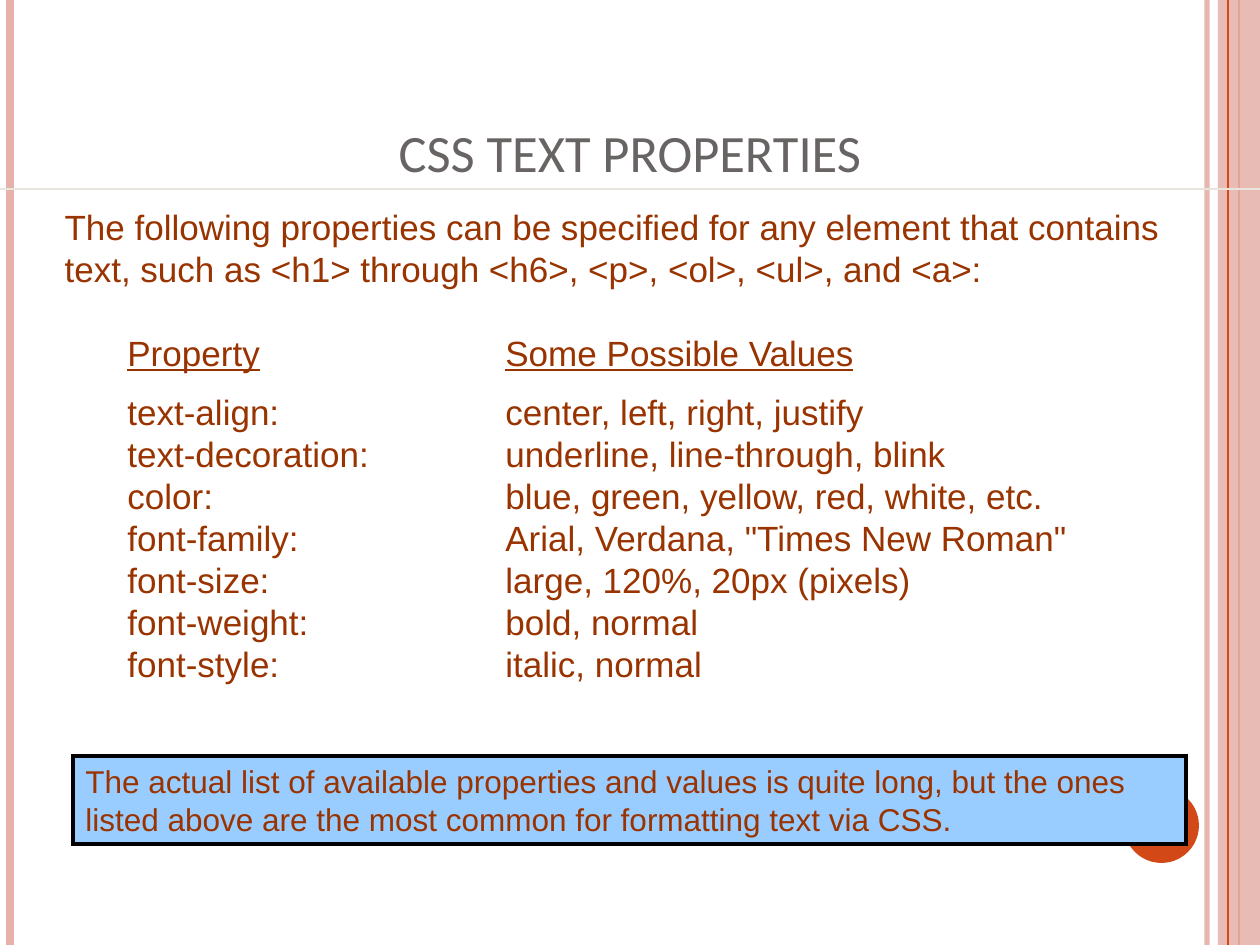
import pptx
import pptx.dml.color
import pptx.enum.shapes
import pptx.enum.text
import pptx.oxml
import pptx.oxml.ns
import pptx.util

EMU_PER_PX = 914400 / 126
WIDTH, HEIGHT = 1260, 945
COLORS = {
    "pink": "E6B1AB", "orange": "D34817", "rule": "E9E5DC", "title": "696464",
    "text": "993300", "note": "99CCFF", "border": "000000",
}
SHAPES = pptx.enum.shapes.MSO_SHAPE
ALIGN = pptx.enum.text.PP_ALIGN
ANCHOR = pptx.enum.text.MSO_ANCHOR

INTRO = ("The following properties can be specified for any element that contains "
         "text, such as <h1> through <h6>, <p>, <ol>, <ul>, and <a>:")
HEADINGS = ("Property", "Some Possible Values")
PROPERTIES = [
    ("text-align:", "center, left, right, justify"),
    ("text-decoration:", "underline, line-through, blink"),
    ("color:", "blue, green, yellow, red, white, etc."),
    ("font-family:", 'Arial, Verdana, "Times New Roman"'),
    ("font-size:", "large, 120%, 20px (pixels)"),
    ("font-weight:", "bold, normal"),
    ("font-style:", "italic, normal"),
]
NOTE = ("The actual list of available properties and values is quite long, but the "
        "ones listed above are the most common for formatting text via CSS.")


def px(length):
    return pptx.util.Emu(round(length * EMU_PER_PX))


def rgb(name):
    return pptx.dml.color.RGBColor.from_string(COLORS[name])


def add_xml(parent, tag, **attributes):
    child = pptx.oxml.parse_xml(f"<a:{tag} {pptx.oxml.ns.nsdecls('a')}/>")
    for key, value in attributes.items():
        child.set(key, str(value))
    parent.append(child)
    return child


def set_alpha(shape, percent):
    for color in shape._element.spPr.iter(pptx.oxml.ns.qn("a:srgbClr")):
        add_xml(color, "alpha", val=percent * 1000)


def add_line(page, start, end, color, weight):
    line = page.shapes.add_connector(
        pptx.enum.shapes.MSO_CONNECTOR.STRAIGHT, *map(px, start + end))
    line.line.color.rgb = rgb(color)
    line.line.width = pptx.util.Pt(weight)
    add_xml(line._element.spPr, "effectLst")
    return line


def add_block(page, kind, box, fill, border=None):
    block = page.shapes.add_shape(kind, *map(px, box))
    block.shadow.inherit = False
    block.fill.solid()
    block.fill.fore_color.rgb = rgb(fill)
    if border:
        block.line.color.rgb = rgb(border)
        block.line.width = pptx.util.Pt(2)
        add_xml(block.line._get_or_add_ln(), "miter", lim=800000)
    else:
        block.line.fill.background()
    return block


def place(shape, box):
    shape.left, shape.top, shape.width, shape.height = map(px, box)


def prepare_frame(shape, anchor=ANCHOR.TOP):
    frame = shape.text_frame
    frame.word_wrap = True
    frame.auto_size = pptx.enum.text.MSO_AUTO_SIZE.NONE
    frame.vertical_anchor = anchor
    return frame


def write(para, text, size=20, font="Arial", color="text", underline=False,
          align=ALIGN.LEFT):
    para.alignment = align
    para.space_before = pptx.util.Pt(0)
    span = para.add_run()
    span.text = text
    span.font.size = pptx.util.Pt(size)
    span.font.name = font
    span.font.color.rgb = rgb(color)
    span.font.underline = underline


def draw_frame(page, box):
    """Stripes down both edges and the dot at the lower right."""
    left, top, width, height = box
    right, bottom = left + width, top + height

    def stripe(x, color, weight):
        return add_line(page, (x, top), (x, bottom), color, weight)

    set_alpha(stripe(right - 53, "pink", 3), 93)
    stripe(left + 10, "pink", 4.5)
    stripe(right - 21, "orange", 1.5)
    band = add_block(page, SHAPES.RECTANGLE, (right - 42, top, 42, height), "pink")
    set_alpha(band, 87)
    stripe(right - 32, "orange", 0.75)
    add_block(page, SHAPES.OVAL, (right - 136, bottom - 157, 75, 75), "orange")


def draw_title(page, box):
    title = page.shapes.title
    place(title, box)
    frame = prepare_frame(title, ANCHOR.BOTTOM)
    write(frame.paragraphs[0], "CSS TEXT PROPERTIES", size=30, font="Calibri",
          color="title", align=ALIGN.CENTER)
    bottom = box[1] + box[3]
    add_line(page, (0, bottom), (WIDTH, bottom), "rule", 1.25)


def draw_intro(page, box):
    body = page.placeholders[1]
    place(body, box)
    para = prepare_frame(body).paragraphs[0]
    write(para, INTRO)
    layout = para._p.get_or_add_pPr()
    layout.set("marL", "0")
    layout.set("indent", "0")
    add_xml(layout, "buNone")


def draw_properties(page, box, value_offset=378):
    """Names and values in two columns, parted by one tab stop."""
    columns = page.shapes.add_textbox(*map(px, box))
    frame = prepare_frame(columns)
    for index, (name, values) in enumerate([HEADINGS] + PROPERTIES):
        heading = index == 0
        para = frame.paragraphs[0] if heading else frame.add_paragraph()
        write(para, name, underline=heading)
        write(para, "\t")
        write(para, values, underline=heading)
        para.space_after = pptx.util.Pt(10 if heading else 0)
        stops = add_xml(para._p.get_or_add_pPr(), "tabLst")
        add_xml(stops, "tab", pos=int(px(value_offset)), algn="l")


def draw_note(page, box):
    note = add_block(page, SHAPES.RECTANGLE, box, "note", border="border")
    write(prepare_frame(note).paragraphs[0], NOTE, size=18)


def main():
    deck = pptx.Presentation()
    deck.slide_width, deck.slide_height = px(WIDTH), px(HEIGHT)
    page = deck.slides.add_slide(deck.slide_layouts[1])
    draw_frame(page, (0, 0, WIDTH, HEIGHT))
    draw_title(page, (63, 53, 1134, 136))
    draw_intro(page, (52, 199, 1144, 95))
    draw_properties(page, (115, 325, 1092, 368))
    draw_note(page, (73, 756, 1113, 88))
    deck.save("out.pptx")


if __name__ == "__main__":
    main()
